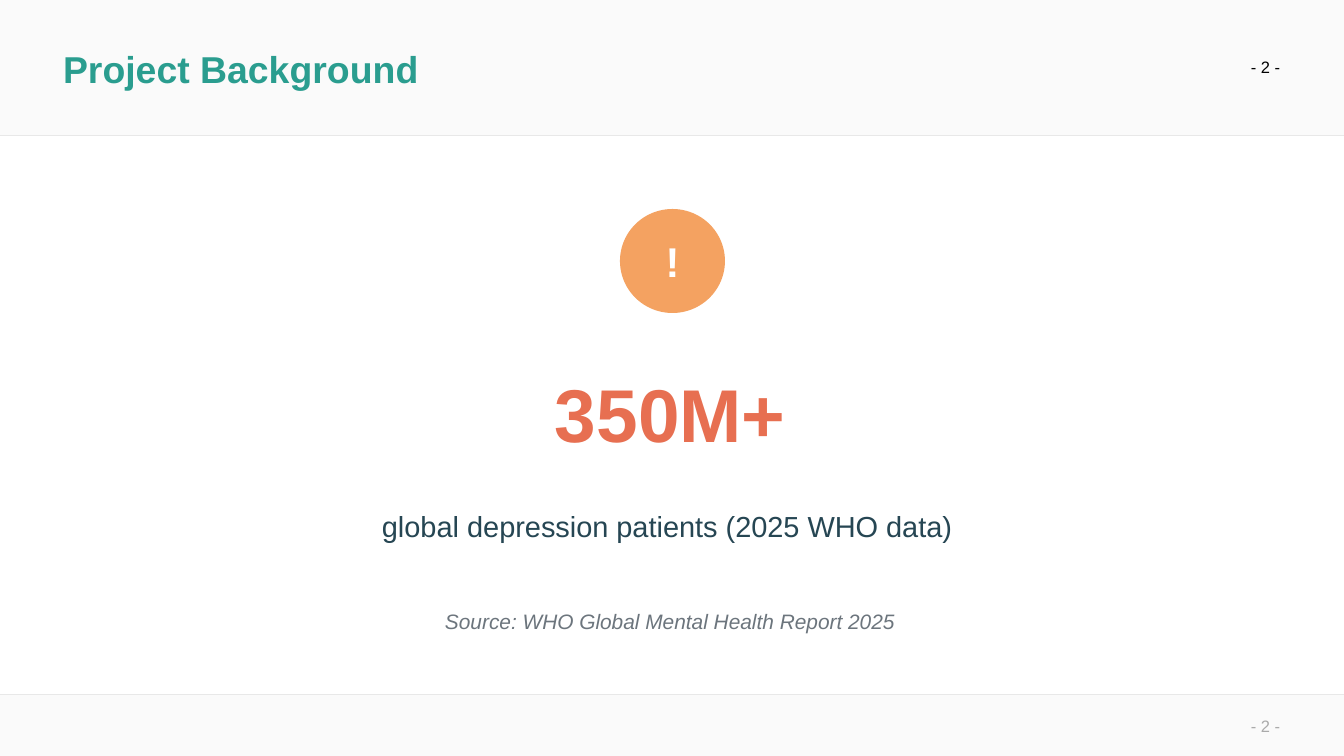
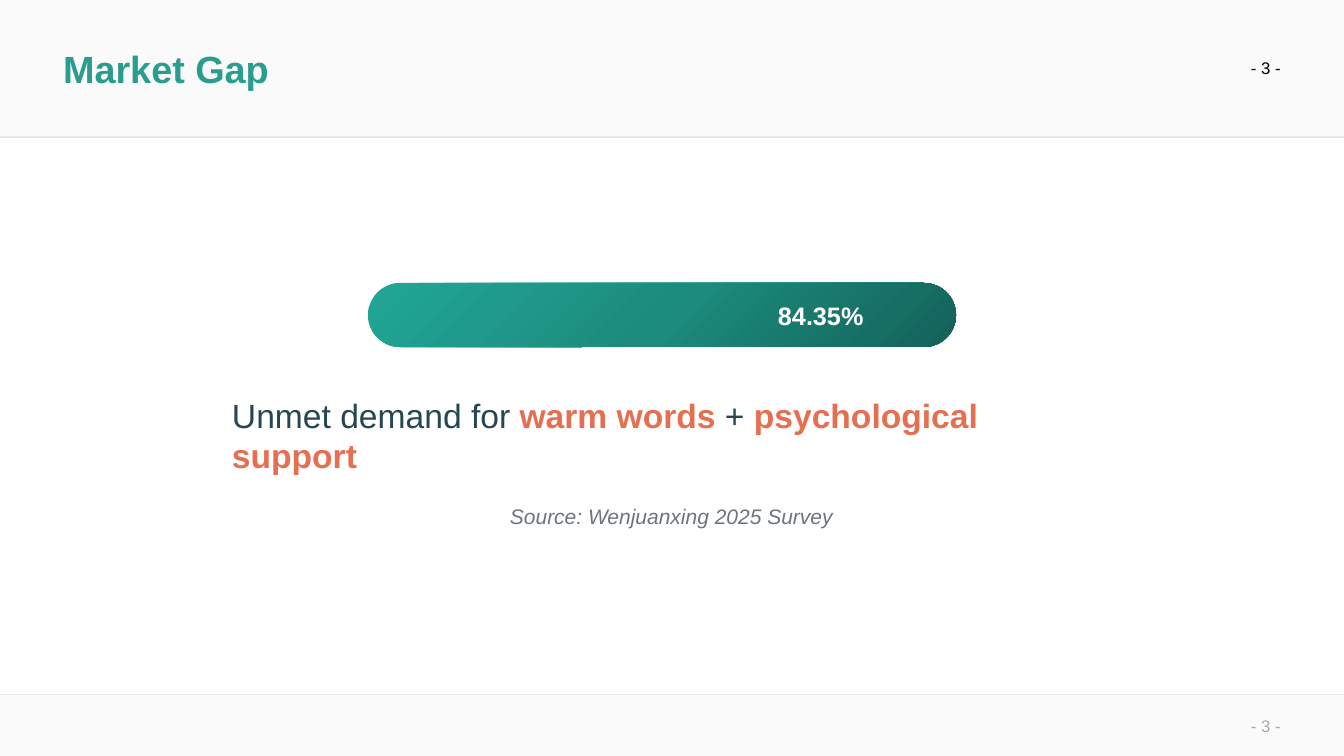
from pptx import Presentation
from pptx.dml.color import RGBColor
from pptx.enum.shapes import MSO_CONNECTOR, MSO_SHAPE
from pptx.enum.text import MSO_ANCHOR, MSO_AUTO_SIZE, PP_ALIGN
from pptx.oxml import parse_xml
from pptx.oxml.ns import nsdecls, qn
from pptx.util import Pt

RECTANGLE, OVAL, PILL = MSO_SHAPE.RECTANGLE, MSO_SHAPE.OVAL, MSO_SHAPE.ROUNDED_RECTANGLE
STRAIGHT = MSO_CONNECTOR.STRAIGHT
TOP, MIDDLE = MSO_ANCHOR.TOP, MSO_ANCHOR.MIDDLE
LEFT, CENTER = PP_ALIGN.LEFT, PP_ALIGN.CENTER
GROW, FIXED = MSO_AUTO_SIZE.SHAPE_TO_FIT_TEXT, MSO_AUTO_SIZE.NONE

EMU_PER_PX = 914400 / 100.8
WIDTH, HEIGHT = 1344, 756
FOOTER_TOP = 695
FONT = "Arial"
TITLE_ONLY = 5

COLORS = {
    "page": "FFFFFF",
    "band": "FAFAFA",
    "rule": "E8E8E8",
    "title": "2A9D8F",
    "text": "264653",
    "accent": "E76F51",
    "warning": "F4A261",
    "source": "6C757D",
    "header number": "000000",
    "footer number": "AAAAAA",
    "white": "FFFFFF",
}
BAR_STOPS = [(0, "146259"), (50, "1C8C7E"), (100, "21A696")]


def px(*lengths):
    """Turn pixel lengths into EMU."""
    return [round(length * EMU_PER_PX) for length in lengths]


def write(shape, runs, size, align=LEFT, anchor=TOP, auto_size=GROW, italic=False):
    """Fill a shape with one line made of (text, color, bold) runs."""
    frame = shape.text_frame
    layout = {"margin_left": 0, "margin_top": 0, "margin_right": 0, "margin_bottom": 0,
              "word_wrap": False, "auto_size": auto_size, "vertical_anchor": anchor}
    for name, value in layout.items():
        setattr(frame, name, value)
    paragraph = frame.paragraphs[0]
    paragraph.alignment = align
    for text, color, bold in runs:
        run = paragraph.add_run()
        run.text = text
        font_format = {"name": FONT, "size": Pt(size), "bold": bold, "italic": italic}
        for name, value in font_format.items():
            setattr(run.font, name, value)
        run.font.color.rgb = RGBColor.from_string(COLORS[color])


prs = Presentation()
prs.slide_width, prs.slide_height = px(WIDTH, HEIGHT)

# Box is left, top, width, height; shapes are preset, box, color, label.
pages = [
    {
        "title": "Project Background", "title box": (63, 46, 359, 42), "title size": 26.7,
        "header height": 136, "number": "- 2 -", "number top": 57, "number size": 11.8,
        "shape": (OVAL, (620, 209, 105, 104), "warning", "!"),
        "lines": [
            ((555, 368, 233, 84), [("350M+", "accent", True)], 53.4, False),
            ((382, 509, 581, 32),
             [("global depression patients (2025 WHO data)", "text", False)], 20.7, False),
            ((445, 609, 453, 23),
             [("Source: WHO Global Mental Health Report 2025", "source", False)], 14.9, True),
        ],
    },
    {
        "title": "Market Gap", "title box": (63, 46, 206, 42), "title size": 27,
        "header height": 137, "number": "- 3 -", "number top": 58, "number size": 12,
        "shape": (PILL, (368, 283, 588, 64), "title", ""),
        "lines": [
            ((778, 300, 86, 28), [("84.35%", "white", True)], 18, False),
            ((232, 395, 880, 37),
             [("Unmet demand for ", "text", False), ("warm words", "accent", True),
              (" + ", "text", False), ("psychological support", "accent", True)], 24, False),
            ((510, 504, 324, 23),
             [("Source: Wenjuanxing 2025 Survey", "source", False)], 15, True),
        ],
    },
]

for page in pages:
    slide = prs.slides.add_slide(prs.slide_layouts[TITLE_ONLY])
    slide.background.fill.solid()
    slide.background.fill.fore_color.rgb = RGBColor.from_string(COLORS["page"])

    # Header and footer bands, and the page's main shape
    header_height = page["header height"]
    main_shape = page["shape"]
    for preset, box, color, label in [
        (RECTANGLE, (0, 0, WIDTH, header_height), "band", ""),
        (RECTANGLE, (0, FOOTER_TOP, WIDTH, HEIGHT - FOOTER_TOP), "band", ""),
        main_shape,
    ]:
        block = slide.shapes.add_shape(preset, *px(*box))
        block.shadow.inherit = False
        block.fill.solid()
        block.fill.fore_color.rgb = RGBColor.from_string(COLORS[color])
        block.line.fill.background()
        if label:
            write(block, [(label, "white", True)], 29.7, CENTER, MIDDLE, FIXED)
        if preset == PILL:
            block.adjustments[0] = 0.5
            stops = "".join(
                f'<a:gs pos="{position * 1000}"><a:srgbClr val="{stop_color}"/></a:gs>'
                for position, stop_color in BAR_STOPS)
            gradient = parse_xml(
                f'<a:gradFill {nsdecls("a")} rotWithShape="1"><a:gsLst>{stops}</a:gsLst>'
                '<a:path path="circle"><a:fillToRect l="100000" t="100000"/></a:path>'
                '</a:gradFill>')
            properties = block._element.spPr
            properties.replace(properties.find(qn("a:solidFill")), gradient)

    for y in (header_height, FOOTER_TOP):
        rule = slide.shapes.add_connector(STRAIGHT, *px(0, y, WIDTH, y))
        rule.line.color.rgb = RGBColor.from_string(COLORS["rule"])
        rule.line.width = Pt(0.75)
        rule._element.spPr.append(parse_xml(f'<a:effectLst {nsdecls("a")}/>'))

    # The title goes above the header band
    title = slide.shapes.title
    slide.shapes._spTree.append(title._element)
    title.left, title.top, title.width, title.height = px(*page["title box"])
    write(title, [(page["title"], "title", True)], page["title size"])

    number_lines = [
        ((1251, top, 30, 19), [(page["number"], color, False)], page["number size"], False)
        for top, color in [(page["number top"], "header number"), (716, "footer number")]
    ]
    for box, runs, size, italic in page["lines"] + number_lines:
        write(slide.shapes.add_textbox(*px(*box)), runs, size, italic=italic)

prs.save("out.pptx")
